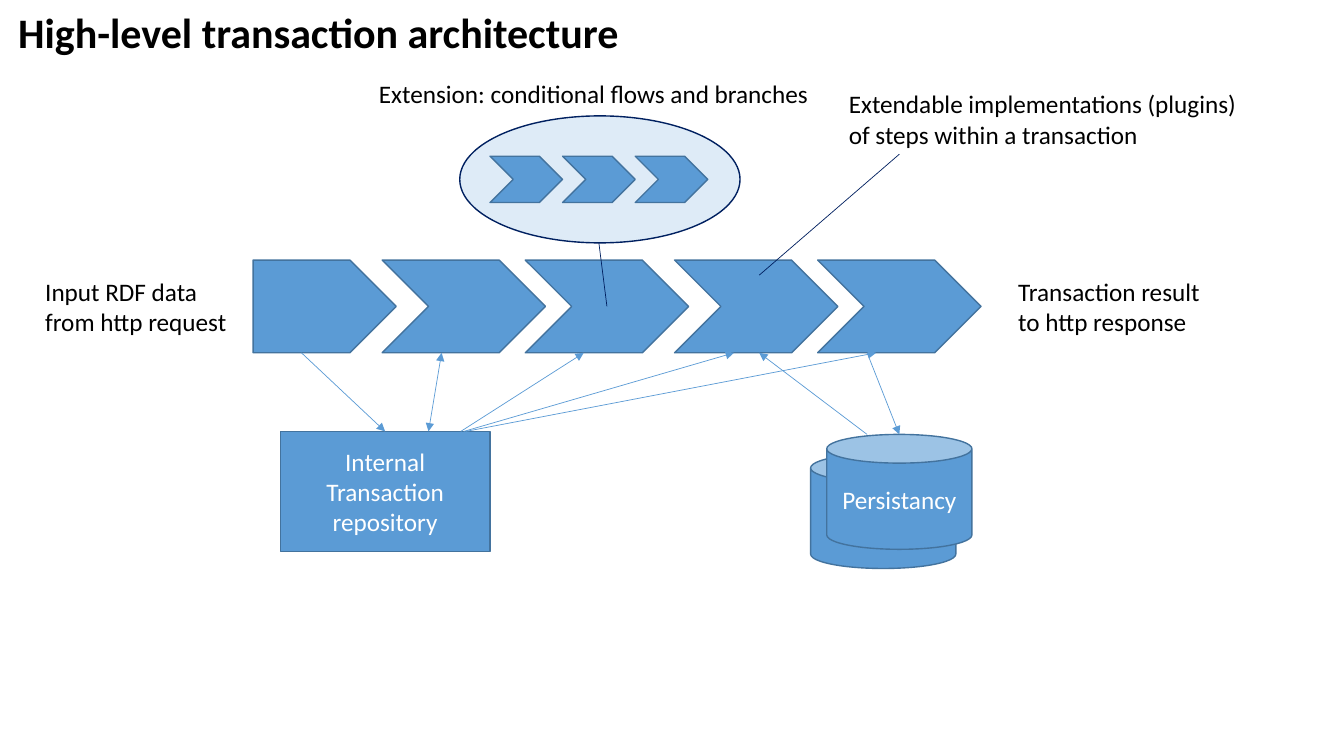
from dataclasses import dataclass

from lxml.etree import SubElement
from pptx import Presentation
from pptx.dml.color import RGBColor as Color
from pptx.enum.shapes import MSO_CONNECTOR as Connector, MSO_SHAPE as Preset
from pptx.enum.text import MSO_ANCHOR as Anchor, MSO_AUTO_SIZE as AutoSize, PP_ALIGN as Align
from pptx.oxml.ns import qn
from pptx.util import Inches, Pt


@dataclass(frozen=True)
class Theme:
    """Colours, font and sizes used on the page."""
    font: str = "Calibri"
    title_size: int = 30
    body_size: int = 18
    black: str = "000000"
    white: str = "FFFFFF"
    blue: str = "5B9BD5"
    outline: str = "43739E"
    pale: str = "DEEBF7"
    navy: str = "002060"
    border: float = 1
    thin: float = 0.5


THEME = Theme()


def write(box, lines, size, color, align, bold=False):
    """Write each line as a paragraph with one run."""
    frame = box.text_frame
    for index, line in enumerate(lines):
        para = frame.add_paragraph() if index else frame.paragraphs[0]
        para.alignment = align
        span = para.add_run()
        span.text = line
        span.font.name = THEME.font
        span.font.size = Pt(size)
        span.font.bold = bold
        span.font.color.rgb = Color.from_string(color)


def add_title(page, text, left, top, width, height):
    """Place and format the title placeholder."""
    title = page.shapes.title
    title.left, title.top = Inches(left), Inches(top)
    title.width, title.height = Inches(width), Inches(height)
    frame = title.text_frame
    frame.word_wrap = False
    frame.auto_size = AutoSize.SHAPE_TO_FIT_TEXT
    frame.vertical_anchor = Anchor.TOP
    write(title, [text], THEME.title_size, THEME.black, Align.LEFT, bold=True)


def add_label(page, lines, left, top, width, height):
    """Add unwrapped black text."""
    box = page.shapes.add_textbox(Inches(left), Inches(top), Inches(width), Inches(height))
    box.text_frame.word_wrap = False
    box.text_frame.auto_size = AutoSize.SHAPE_TO_FIT_TEXT
    write(box, lines, THEME.body_size, THEME.black, Align.LEFT)


def add_block(page, preset, left, top, width, height, lines=(),
              fill=THEME.blue, outline=THEME.outline):
    """Add a filled preset shape with optional centred text."""
    block = page.shapes.add_shape(
        preset, Inches(left), Inches(top), Inches(width), Inches(height))
    block.shadow.inherit = False
    block.fill.solid()
    block.fill.fore_color.rgb = Color.from_string(fill)
    block.line.color.rgb = Color.from_string(outline)
    block.line.width = Pt(THEME.border)
    block.text_frame.word_wrap = True
    block.text_frame.vertical_anchor = Anchor.MIDDLE
    write(block, lines, THEME.body_size, THEME.white, Align.CENTER)


def add_link(page, start, end, color=THEME.blue, arrows=("tailEnd",)):
    """Add a thin straight line with triangles at the named ends."""
    link = page.shapes.add_connector(
        Connector.STRAIGHT, *(Inches(value) for value in (*start, *end)))
    link.line.color.rgb = Color.from_string(color)
    link.line.width = Pt(THEME.thin)
    outline = link.line._get_or_add_ln()
    for arrow in arrows:
        SubElement(outline, qn(f"a:{arrow}")).set("type", "triangle")
    SubElement(link._element.spPr, qn("a:effectLst"))


def add_flow(page):
    """Add the main transaction steps and the branch above them."""
    top, height = 2.58, 0.92
    add_block(page, Preset.PENTAGON, 2.51, top, 1.42, height)
    for left in (3.79, 5.21, 6.69, 8.11):
        add_block(page, Preset.CHEVRON, left, top, 1.62, height)

    add_block(page, Preset.OVAL, 4.56, 1.15, 2.78, 1.26,
              fill=THEME.pale, outline=THEME.navy)
    branch_width = 0.72
    for index in range(3):
        add_block(page, Preset.CHEVRON, 4.86 + index * branch_width, 1.55,
                  branch_width, 0.46)


def add_stores(page):
    """Add the internal repository and the stacked databases."""
    add_block(page, Preset.RECTANGLE, 2.78, 4.28, 2.08, 1.19,
              ["Internal", "Transaction repository"])
    add_block(page, Preset.CAN, 8.04, 4.5, 1.44, 1.14)
    add_block(page, Preset.CAN, 8.2, 4.31, 1.44, 1.14, ["Persistancy"])


def add_links(page):
    """Connect the steps with the stores and the remarks."""
    step_bottom, repository_top, database_top = 3.5, 4.28, 4.31
    add_link(page, (2.99, step_bottom), (3.82, repository_top))
    add_link(page, (4.38, step_bottom), (4.25, repository_top),
             arrows=("headEnd", "tailEnd"))
    for start, end in ((4.57, 5.79), (4.6, 7.28), (4.62, 8.69)):
        add_link(page, (start, repository_top), (end, step_bottom))
    add_link(page, (8.6, step_bottom), (8.92, database_top))
    add_link(page, (8.6, database_top), (7.53, step_bottom))

    add_link(page, (5.94, 2.41), (6.02, 3.04), THEME.navy, arrows=())
    add_link(page, (8.92, 1.53), (7.53, 2.73), THEME.navy, arrows=())


def main():
    """Build and save the deck."""
    deck = Presentation()
    deck.slide_width, deck.slide_height = Inches(13.33), Inches(7.5)
    page = deck.slides.add_slide(deck.slide_layouts.get_by_name("Title Only"))

    add_title(page, "High-level transaction architecture", 0.08, 0.01, 6.22, 0.61)
    add_flow(page)
    add_stores(page)
    add_links(page)
    add_label(page, ["Input RDF data", "from http request"], 0.35, 2.69, 2.02, 0.71)
    add_label(page, ["Transaction result", "to http response"], 10, 2.69, 2.02, 0.71)
    add_label(page, ["Extendable implementations (plugins)",
                     "of steps within a transaction"], 8.32, 0.83, 4.09, 0.71)
    add_label(page, ["Extension: conditional flows and branches"],
              3.66, 0.73, 4.67, 0.4)
    deck.save("out.pptx")


main()
